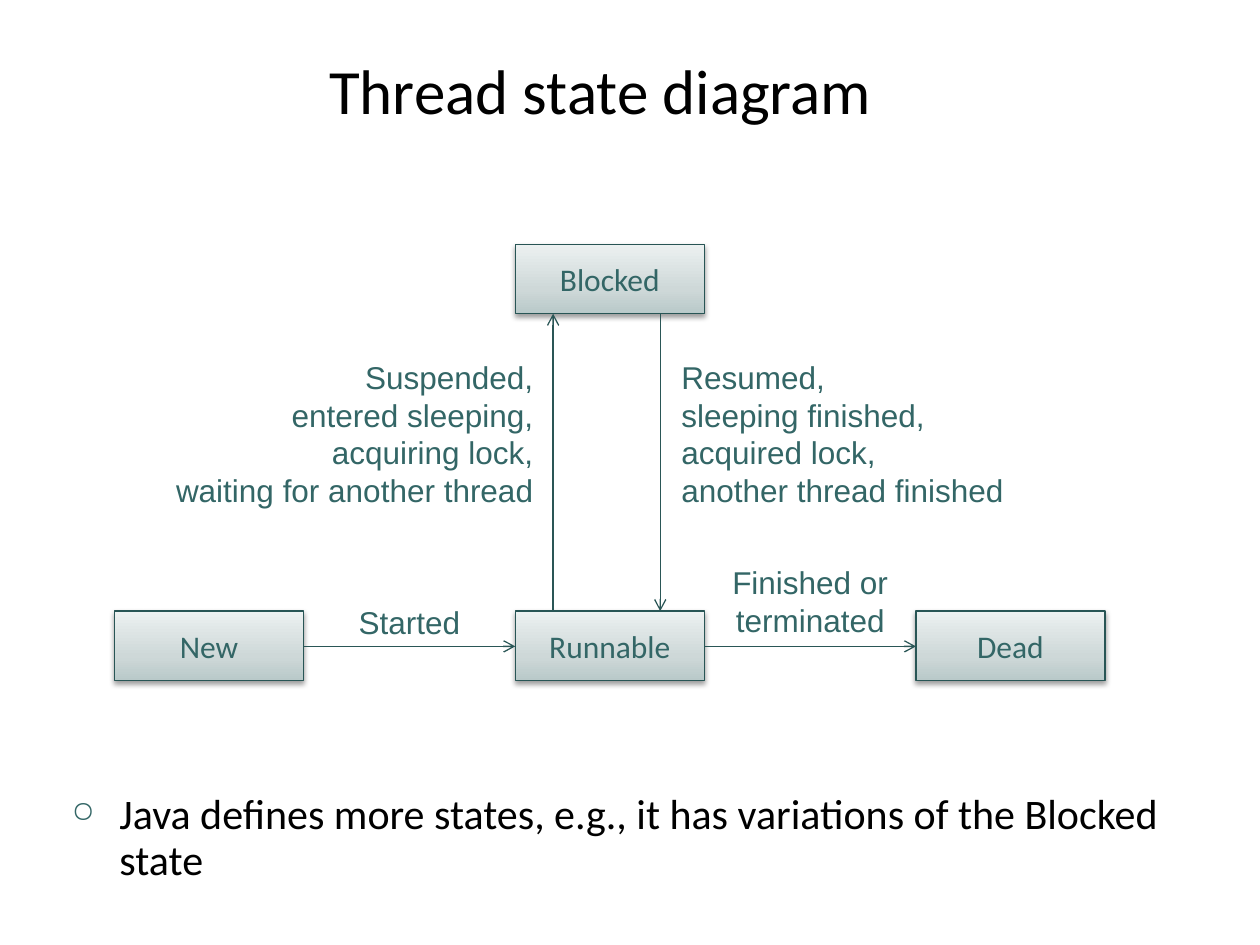
from lxml import etree
from pptx import Presentation
from pptx import util as u
from pptx.dml.color import RGBColor
from pptx.enum import shapes, text
from pptx.oxml import parse_xml
from pptx.oxml.ns import nsdecls, qn

PX = 9144
HUE = {"ink": "000000", "teal": "336666", "edge": "285555", "arrow": "2A5656",
       "low": "B9C9C9", "mid": "CED8D8", "high": "ECF1F1"}
AL = text.PP_ALIGN
MID = text.MSO_ANCHOR.MIDDLE
TITLE = {"size": u.Pt(36), "name": "Calibri", "bold": False}
STATE = {"size": u.Pt(18), "name": "Calibri"}
LABEL = {"size": u.Pt(18), "name": "Arial"}
NOTE = {"size": u.Pt(24), "name": "Calibri"}
WIDE, HIGH = 150, 55


def emu(*vals):
    """Turn px lengths into EMU."""
    return [u.Emu(v * PX) for v in vals]


def rgb(key):
    """Give the named colour."""
    return RGBColor.from_string(HUE[key])


def assign(obj, vals):
    """Set attributes from a dict."""
    for key, val in vals.items():
        setattr(obj, key, val)


def write(frame, lines, font, hue, align, wrap=True, anchor=text.MSO_ANCHOR.TOP):
    """Fill a text frame with one paragraph per line."""
    assign(frame, {"text": "\n".join(lines), "word_wrap": wrap, "vertical_anchor": anchor})
    for para in frame.paragraphs:
        para.alignment = align
        for run in para.runs:
            assign(run.font, font)
            run.font.color.rgb = rgb(hue)


def stroke(line, hue):
    """Give a line its colour and width."""
    line.color.rgb = rgb(hue)
    line.width = u.Pt(0.75)


def state(slide, box, name):
    """Draw a shaded state box."""
    rect = slide.shapes.add_shape(shapes.MSO_SHAPE.RECTANGLE, *emu(*box))
    stops = "".join(f'<a:gs pos="{pos}"><a:srgbClr val="{HUE[key]}"/></a:gs>'
                    for pos, key in ((0, "low"), (35000, "mid"), (100000, "high")))
    props = rect.element.spPr
    props.append(parse_xml(f'<a:gradFill {nsdecls("a")} rotWithShape="1"><a:gsLst>{stops}'
                           '</a:gsLst><a:lin ang="16200000" scaled="0"/></a:gradFill>'))
    stroke(rect.line, "edge")
    rect.shadow.inherit = False
    props.find(qn("a:effectLst")).append(parse_xml(
        f'<a:outerShdw {nsdecls("a")} blurRad="40000" dist="20000" dir="5400000" '
        f'rotWithShape="0"><a:srgbClr val="{HUE["ink"]}"><a:alpha val="38000"/>'
        '</a:srgbClr></a:outerShdw>'))
    write(rect.text_frame, [name], STATE, "teal", AL.CENTER, False, MID)


def arrow(slide, *ends):
    """Draw an arrow between two points."""
    link = slide.shapes.add_connector(shapes.MSO_CONNECTOR.STRAIGHT, *emu(*ends))
    stroke(link.line, "arrow")
    etree.SubElement(link.line._get_or_add_ln(), qn("a:tailEnd"), type="arrow")
    etree.SubElement(link.element.spPr, qn("a:effectLst"))


def label(slide, box, lines, align):
    """Place the text beside an arrow."""
    area = slide.shapes.add_textbox(*emu(*box))
    write(area.text_frame, lines, LABEL, "teal", align)


def head(slide, box):
    """Place the title."""
    title = slide.shapes.title
    assign(title, dict(zip(("left", "top", "width", "height"), emu(*box))))
    write(title.text_frame, ["Thread state diagram"], TITLE, "ink", AL.CENTER, anchor=MID)


def diagram(slide, box):
    """Draw the states and the moves between them."""
    left, top, width, height = box
    step = (width - WIDE) // 2
    gap = step - WIDE
    row = top + height - HIGH
    axis = row + HIGH // 2 + 1
    foot = top + HIGH
    cols = [left + i * step for i in range(3)]
    for x, name in zip(cols, ("New", "Runnable", "Dead")):
        state(slide, (x, row, WIDE, HIGH), name)
    state(slide, (cols[1], top, WIDE, HIGH), "Blocked")
    for x in cols[:2]:
        arrow(slide, x + WIDE, axis, x + step, axis)
    up, down = cols[1] + 30, cols[1] + 115
    arrow(slide, up, row, up, foot)
    arrow(slide, down, foot, down, row)
    label(slide, (cols[0] + WIDE, row - 11, gap, 40), ["Started"], AL.CENTER)
    label(slide, (cols[1] + WIDE, row - 43, gap, 71), ["Finished or terminated"], AL.CENTER)
    label(slide, (up - 380, foot + 30, 374, 131),
          ["Suspended,", "entered sleeping,", "acquiring lock,",
           "waiting for another thread"], AL.RIGHT)
    label(slide, (down + 7, foot + 30, 374, 131),
          ["Resumed,", "sleeping finished,", "acquired lock,",
           "another thread finished"], AL.LEFT)


def remark(slide, box):
    """Place the bulleted remark."""
    frame = slide.shapes.add_textbox(*emu(*box)).text_frame
    write(frame, ["Java defines more states, e.g., it has variations of the Blocked state"],
          NOTE, "ink", AL.LEFT)
    para = frame.paragraphs[0]
    assign(para, {"line_spacing": 0.9, "space_before": u.Pt(6)})
    props = para._p.get_or_add_pPr()
    inset = emu(38)[0]
    props.set("marL", str(inset))
    props.set("indent", str(-inset))
    tint = etree.SubElement(props, qn("a:buClr"))
    etree.SubElement(tint, qn("a:srgbClr"), val=HUE["teal"])
    etree.SubElement(props, qn("a:buSzPct"), val="70000")
    etree.SubElement(props, qn("a:buChar"), char="○")


def main():
    """Build and save the slide."""
    deck = Presentation()
    deck.slide_width, deck.slide_height = emu(1000, 750)
    slide = deck.slides.add_slide(deck.slide_layouts[5])
    head(slide, (0, 19, 953, 104))
    diagram(slide, (91, 194, 787, 346))
    remark(slide, (47, 625, 910, 104))
    deck.save("out.pptx")


if __name__ == "__main__":
    main()
